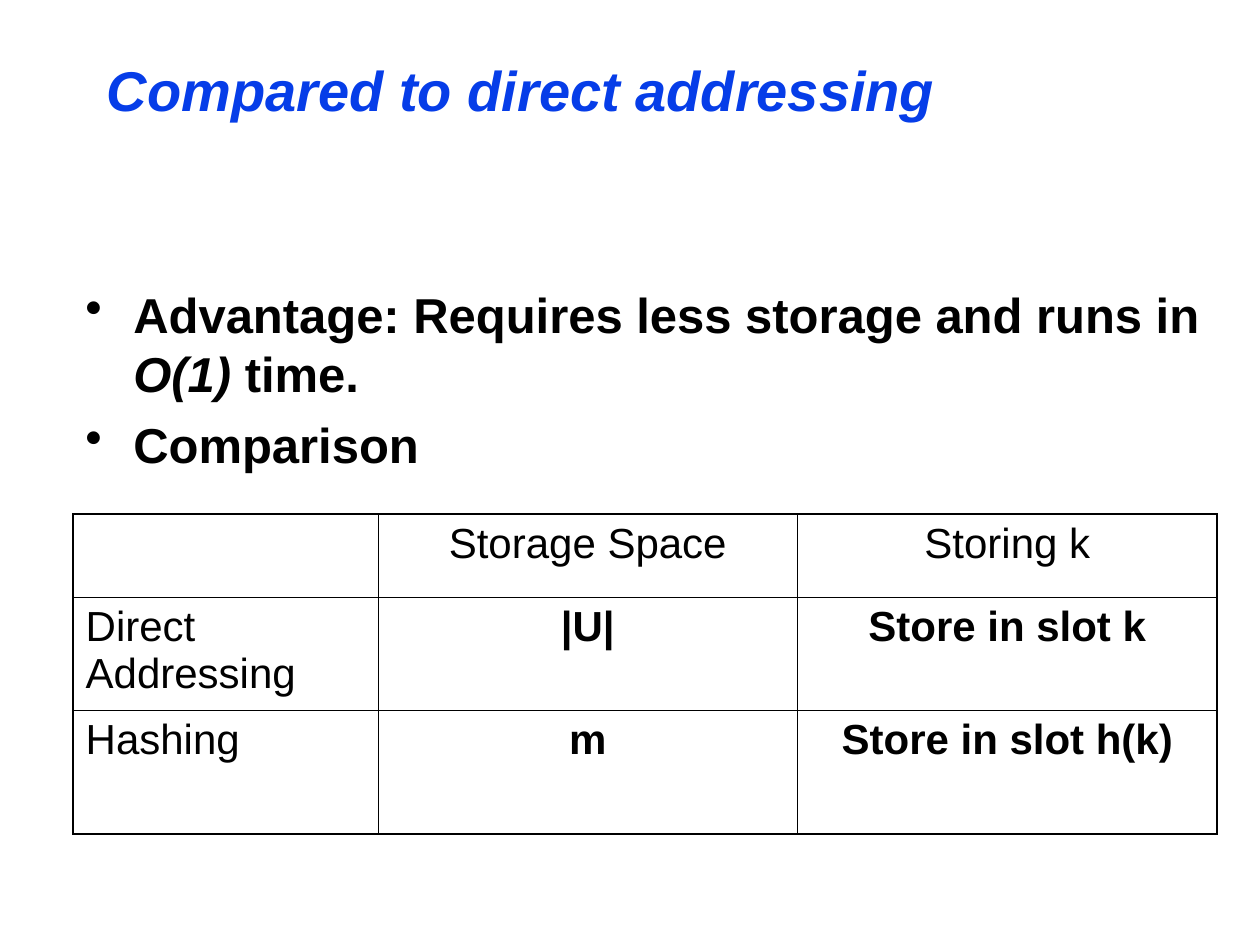
from dataclasses import dataclass

from lxml import etree
from pptx import Presentation
from pptx.dml.color import RGBColor
from pptx.enum import text
from pptx.oxml import ns
from pptx.util import Inches, Pt


@dataclass(frozen=True)
class Theme:
    font: str = "Arial"
    title_color: str = "063DE8"
    ink: str = "000000"
    title_size: float = 32
    body_size: float = 28
    table_size: float = 24
    outer_line: float = 1.08
    inner_line: float = 0.45


THEME = Theme()

BULLETS = [
    [("Advantage: Requires less storage and runs in ", False), ("O(1)", True), (" time.", False)],
    [("Comparison", False)],
]
COMPARISON = [
    ["", "Storage Space", "Storing k"],
    ["Direct Addressing", "|U|", "Store in slot k"],
    ["Hashing", "m", "Store in slot h(k)"],
]
COLUMN_WIDTHS = [2.42, 3.33, 3.33]
ROW_HEIGHTS = [0.66, 0.9, 0.98]


def set_font(paragraph, size, color, bold=False, italic=None):
    font = paragraph.font
    font.name, font.size = THEME.font, Pt(size)
    font.bold, font.italic = bold, italic
    font.color.rgb = RGBColor.from_string(color)


def add_text_frame(slide, box, anchor):
    frame = slide.shapes.add_textbox(*map(Inches, box)).text_frame
    frame.word_wrap = True
    frame.vertical_anchor = anchor
    return frame


def add_title(slide, box):
    frame = add_text_frame(slide, box, text.MSO_ANCHOR.MIDDLE)
    paragraph = frame.paragraphs[0]
    paragraph.text = "Compared to direct addressing"
    set_font(paragraph, THEME.title_size, THEME.title_color, bold=True, italic=True)


def add_bullet(paragraph, indent):
    properties = paragraph._p.get_or_add_pPr()
    properties.set("marL", str(Inches(indent)))
    properties.set("indent", str(-Inches(indent)))
    etree.SubElement(properties, ns.qn("a:buChar"), char="•")


def add_bullets(slide, box):
    frame = add_text_frame(slide, box, text.MSO_ANCHOR.TOP)
    for index, parts in enumerate(BULLETS):
        paragraph = frame.paragraphs[0] if index == 0 else frame.add_paragraph()
        if index:
            paragraph.space_before = Pt(7)
        add_bullet(paragraph, 0.38)
        set_font(paragraph, THEME.body_size, THEME.ink, bold=True)
        for wording, italic in parts:
            run = paragraph.add_run()
            run.text = wording
            run.font.italic = italic


def set_borders(cell, outer_sides):
    """Draw all four borders, heavier on the sides along the table's edge."""
    properties = cell._tc.get_or_add_tcPr()
    for position, side in enumerate("LRTB"):
        width = THEME.outer_line if side in outer_sides else THEME.inner_line
        line = etree.Element(ns.qn(f"a:ln{side}"), w=str(Pt(width)))
        fill = etree.SubElement(line, ns.qn("a:solidFill"))
        etree.SubElement(fill, ns.qn("a:srgbClr"), val=THEME.ink)
        properties.insert(position, line)


def add_comparison_table(slide, box):
    row_count, column_count = len(ROW_HEIGHTS), len(COLUMN_WIDTHS)
    table = slide.shapes.add_table(row_count, column_count, *map(Inches, box)).table
    table.first_row = table.horz_banding = False
    for column, width in zip(table.columns, COLUMN_WIDTHS):
        column.width = Inches(width)
    for row, height in zip(table.rows, ROW_HEIGHTS):
        row.height = Inches(height)

    for r, wordings in enumerate(COMPARISON):
        for c, wording in enumerate(wordings):
            cell = table.cell(r, c)
            cell.fill.background()
            edges = {"L": c == 0, "R": c == column_count - 1,
                     "T": r == 0, "B": r == row_count - 1}
            set_borders(cell, [side for side, outer in edges.items() if outer])
            paragraph = cell.text_frame.paragraphs[0]
            if wording:
                paragraph.text = wording
            paragraph.alignment = text.PP_ALIGN.CENTER if c else text.PP_ALIGN.LEFT
            set_font(paragraph, THEME.table_size, THEME.ink, bold=r > 0 and c > 0)


def main():
    presentation = Presentation()
    presentation.slide_width, presentation.slide_height = Inches(10), Inches(7.5)
    slide = presentation.slides.add_slide(presentation.slide_layouts[6])

    # Heading and points
    add_title(slide, (0.75, 0.33, 8.5, 0.75))
    add_bullets(slide, (0.58, 2.21, 9.42, 4.5))

    # Comparison of the two methods
    add_comparison_table(slide, (0.58, 4.08, sum(COLUMN_WIDTHS), sum(ROW_HEIGHTS)))

    presentation.save("out.pptx")


if __name__ == "__main__":
    main()
